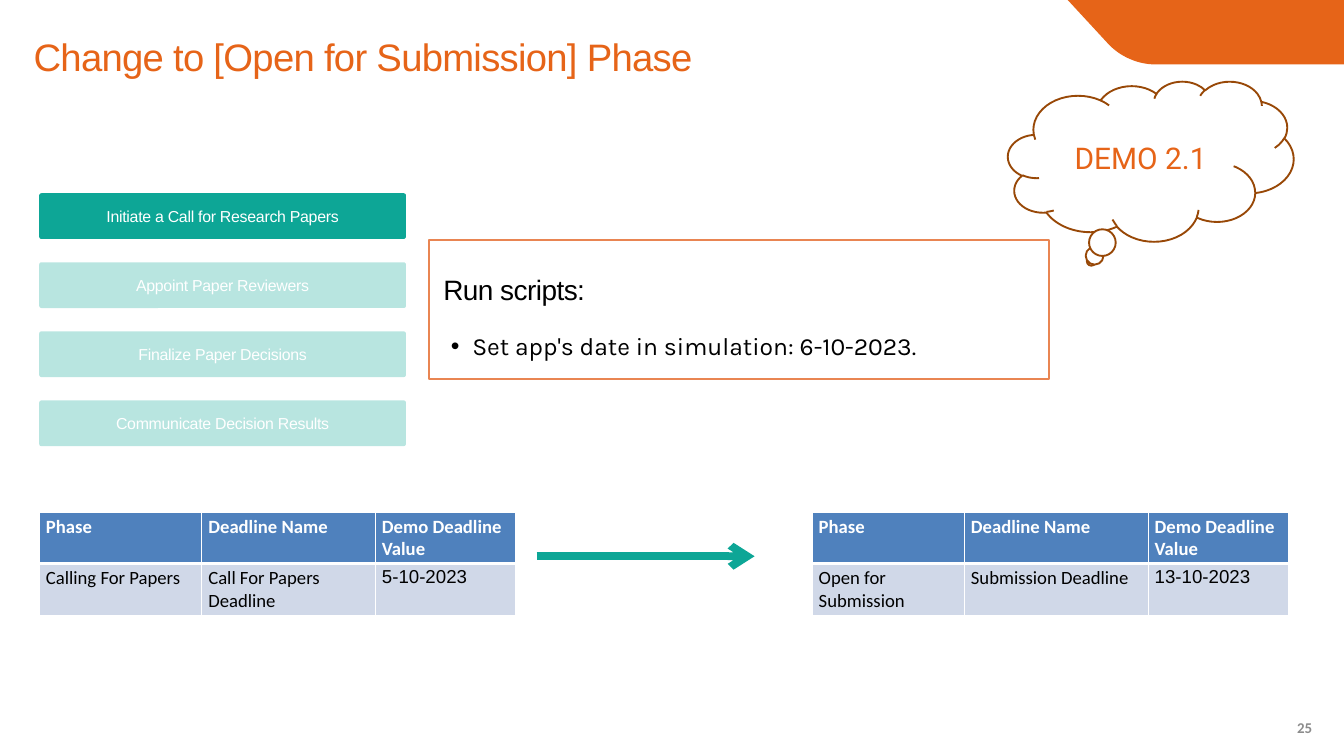
import pptx
import pptx.util
import pptx.dml.color
import pptx.enum.shapes
import pptx.enum.text
import pptx.oxml
import pptx.oxml.ns

Pt = pptx.util.Pt
RGBColor = pptx.dml.color.RGBColor
Shape = pptx.enum.shapes.MSO_SHAPE
Align = pptx.enum.text.PP_ALIGN
Anchor = pptx.enum.text.MSO_ANCHOR
qn = pptx.oxml.ns.qn

ORANGE = RGBColor(0xE6, 0x64, 0x18)
CARD_LINE = RGBColor(0xE9, 0x85, 0x52)
CLOUD_LINE = RGBColor(0x98, 0x48, 0x07)
TEAL = RGBColor(0x0D, 0xA6, 0x96)
HEADER_BLUE = RGBColor(0x4F, 0x81, 0xBD)
BODY_BLUE = RGBColor(0xD0, 0xD8, 0xE8)
GRAY = RGBColor(0x8C, 0x8C, 0x8C)
WHITE = RGBColor(0xFF, 0xFF, 0xFF)
BLACK = RGBColor(0, 0, 0)

TITLE = "Change to [Open for Submission] Phase"
STEPS = [
    "Initiate a Call for Research Papers",
    "Appoint Paper Reviewers",
    "Finalize Paper Decisions",
    "Communicate Decision Results",
]
ACTIVE_STEP = 0
FADED_ALPHA = 29000
HEADERS = ["Phase", "Deadline Name", "Demo Deadline Value"]
TABLES = [
    {"left": 42, "widths": [174, 186, 150],
     "values": ["Calling For Papers", "Call For Papers Deadline", "5-10-2023"]},
    {"left": 870, "widths": [163, 197, 150],
     "values": ["Open for Submission", "Submission Deadline", "13-10-2023"]},
]
TABLE_TOP, ROW_HEIGHT = 548.5, 55
STEP_LEFT, STEP_TOP, STEP_WIDTH, STEP_HEIGHT, STEP_PITCH = 42, 207, 393, 49, 74
CORNER_CURVE = [(1186.56, 46.08), (1199.5, 60.5), (1219, 69.1), (1238.4, 69.1)]


def xml(markup):
    namespace = pptx.oxml.ns.nsdecls("a")
    return pptx.oxml.parse_xml(markup.replace(" ", f" {namespace} ", 1))


def write(frame, text, size, font, color, bold=False, align=Align.LEFT,
          line=None, spacing=None, bullet=False):
    frame.word_wrap = True
    paragraph = frame.paragraphs[0]
    paragraph.alignment = align
    if line:
        paragraph.line_spacing = Pt(line)
    if bullet:
        properties = paragraph._p.get_or_add_pPr()
        properties.set("marL", str(Pt(46)))
        properties.set("indent", str(Pt(-23)))
        properties.append(xml('<a:buFont typeface="Arial"/>'))
        properties.append(xml('<a:buChar char="•"/>'))
    run = paragraph.add_run()
    run.text = text
    run.font.size = Pt(size)
    run.font.name = font
    run.font.bold = bold
    run.font.color.rgb = color
    if spacing:
        run._r.get_or_add_rPr().set("spc", str(round(spacing * 100)))


def add_text(slide, box, text, inset=0, anchor=Anchor.TOP, **style):
    frame = slide.shapes.add_textbox(*map(Pt, box)).text_frame
    frame.margin_left = frame.margin_right = Pt(inset)
    frame.margin_top = frame.margin_bottom = Pt(inset / 2)
    frame.vertical_anchor = anchor
    write(frame, text, **style)


def paint(shape, fill, line=None, width=1):
    shape.shadow.inherit = False
    shape.fill.solid()
    shape.fill.fore_color.rgb = fill
    if line is None:
        shape.line.fill.background()
    else:
        shape.line.color.rgb = line
        shape.line.width = Pt(width)


def add_shape(slide, kind, box, fill, line=None, width=1):
    shape = slide.shapes.add_shape(kind, *map(Pt, box))
    paint(shape, fill, line, width)
    shape.text_frame.vertical_anchor = Anchor.MIDDLE
    return shape


def add_corner(slide):
    curve = []
    for step in range(17):
        t = step / 16
        weights = [(1 - t) ** 3, 3 * t * (1 - t) ** 2, 3 * t * t * (1 - t), t ** 3]
        curve.append(tuple(sum(w * point[axis] for w, point in zip(weights, CORNER_CURVE))
                           for axis in (0, 1)))
    builder = slide.shapes.build_freeform(Pt(1144), 0)
    points = curve + [(1440, 69.1), (1440, 0)]
    builder.add_line_segments([(Pt(x), Pt(y)) for x, y in points], close=True)
    paint(builder.convert_to_shape(), ORANGE)


def add_step(slide, index, label):
    box = (STEP_LEFT, STEP_TOP + index * STEP_PITCH, STEP_WIDTH, STEP_HEIGHT)
    shape = add_shape(slide, Shape.ROUNDED_RECTANGLE, box, TEAL)
    shape.adjustments[0] = 0.05
    if index != ACTIVE_STEP:
        color = shape._element.spPr.find(qn("a:solidFill"))[0]
        color.append(xml(f'<a:alpha val="{FADED_ALPHA}"/>'))
    write(shape.text_frame, label, size=17, font="Arial", color=WHITE,
          align=Align.CENTER, line=20.9, spacing=-0.3)


def add_deadline_table(slide, left, widths, values):
    rows = [HEADERS, values]
    box = (left, TABLE_TOP, sum(widths), ROW_HEIGHT * len(rows))
    table = slide.shapes.add_table(len(rows), len(widths), *map(Pt, box)).table
    for column, width in zip(table.columns, widths):
        column.width = Pt(width)
    for row_index, row in enumerate(rows):
        header = row_index == 0
        for column_index, text in enumerate(row):
            cell = table.cell(row_index, column_index)
            for side in "LRTB":
                heavy = side == ("B" if header else "T")
                cell._tc.get_or_add_tcPr().append(xml(
                    f'<a:ln{side} w="{Pt(3 if heavy else 1)}"><a:solidFill>'
                    f'<a:srgbClr val="{WHITE}"/></a:solidFill></a:ln{side}>'))
            cell.fill.solid()
            cell.fill.fore_color.rgb = HEADER_BLUE if header else BODY_BLUE
            is_date = not header and column_index == len(row) - 1
            write(cell.text_frame, text, size=20, font="Arial" if is_date else "Calibri",
                  color=WHITE if header else BLACK, bold=header)


def add_arrow(slide):
    arrow = slide.shapes.add_connector(
        pptx.enum.shapes.MSO_CONNECTOR.STRAIGHT, Pt(575), Pt(596), Pt(808.5), Pt(596))
    arrow.line.color.rgb = TEAL
    arrow.line.width = Pt(8.25)
    arrow.line._get_or_add_ln().append(xml('<a:tailEnd type="arrow"/>'))
    arrow._element.spPr.append(xml("<a:effectLst />"))


def main():
    presentation = pptx.Presentation()
    presentation.slide_width = Pt(1440)
    presentation.slide_height = Pt(810)
    slide = presentation.slides.add_slide(presentation.slide_layouts[6])

    add_text(slide, (36, 35.3, 1290, 49), TITLE, size=41, font="Arial",
             color=ORANGE, line=49.2, spacing=-0.8)
    add_arrow(slide)
    add_shape(slide, Shape.RECTANGLE, (460, 257.5, 664, 149), WHITE, CARD_LINE, 2.25)
    add_text(slide, (475, 292.5, 645, 36), "Run scripts:", size=30, font="Arial",
             color=BLACK, line=36, spacing=-0.6)
    add_text(slide, (460, 327.6, 645, 52), "Set app's date in simulation: 6-10-2023.",
             size=26.5, font="Karla", color=BLACK, line=59.1, bullet=True)
    add_text(slide, (1373.8, 764.6, 48, 29), "25", inset=7.2, anchor=Anchor.MIDDLE,
             size=16, font="Calibri", color=GRAY, bold=True, align=Align.CENTER)
    for table in TABLES:
        add_deadline_table(slide, **table)
    cloud = add_shape(slide, Shape.CLOUD_CALLOUT, (1080, 87, 306, 171.5),
                      WHITE, CLOUD_LINE, 2)
    write(cloud.text_frame, "DEMO 2.1", size=32, font="Roboto", color=ORANGE,
          align=Align.CENTER)
    add_corner(slide)
    for index, label in enumerate(STEPS):
        add_step(slide, index, label)

    presentation.save("out.pptx")


if __name__ == "__main__":
    main()
